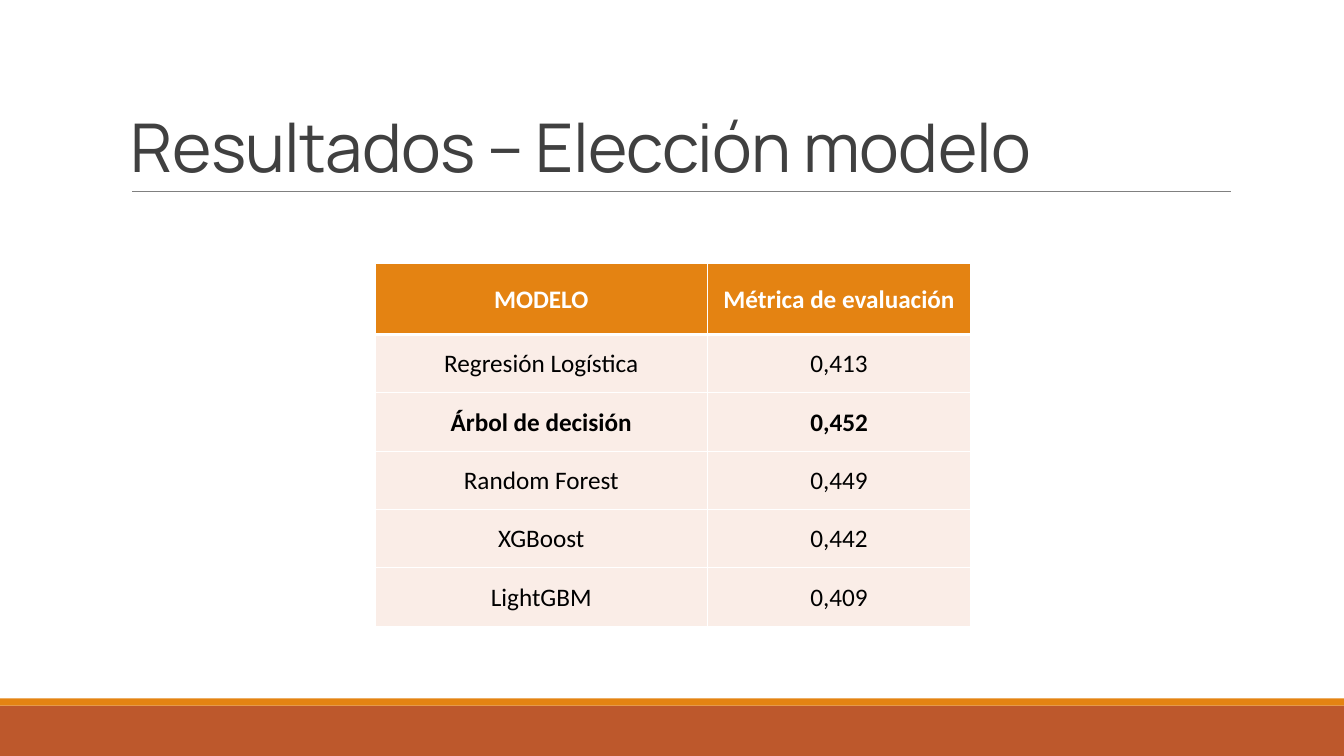
from lxml import etree
from pptx import Presentation
from pptx.dml.color import RGBColor
from pptx.enum.shapes import MSO_CONNECTOR, MSO_SHAPE
from pptx.enum.text import MSO_ANCHOR, PP_ALIGN
from pptx.oxml.ns import qn
from pptx.util import Cm, Pt

COLORS = {
    "rust": "BD582C",
    "orange": "E48312",
    "rule": "808080",
    "title": "404040",
    "body": "FAEDE7",
    "white": "FFFFFF",
    "black": "000000",
}
WIDTH, HEIGHT = 33.87, 19.05
HEADER = ("MODELO", "Métrica de evaluación")
MODELS = [
    ("Regresión Logística", "0,413"),
    ("Árbol de decisión", "0,452"),
    ("Random Forest", "0,449"),
    ("XGBoost", "0,442"),
    ("LightGBM", "0,409"),
]
BEST_MODEL = "Árbol de decisión"


def rgb(name):
    return RGBColor.from_string(COLORS[name])


def style_run(r, font, size, color, bold=False):
    r.font.name = font
    r.font.size = Pt(size)
    r.font.bold = bold
    r.font.color.rgb = rgb(color)


def add_bar(s, top, height, color):
    sp = s.shapes.add_shape(
        MSO_SHAPE.RECTANGLE, 0, Cm(top), Cm(WIDTH), Cm(height))
    sp.shadow.inherit = False
    sp.fill.solid()
    sp.fill.fore_color.rgb = rgb(color)
    sp.line.fill.background()


def add_rule(s, left, right, y):
    line = s.shapes.add_connector(
        MSO_CONNECTOR.STRAIGHT, Cm(left), Cm(y), Cm(right), Cm(y))
    line.line.color.rgb = rgb("rule")
    line.line.width = Pt(0.5)
    etree.SubElement(line._element.spPr, qn("a:effectLst"))


def add_title(s, text):
    sp = s.shapes.add_textbox(Cm(3.05), Cm(0.79), Cm(27.94), Cm(4.04))
    tf = sp.text_frame
    tf.word_wrap = True
    tf.vertical_anchor = MSO_ANCHOR.BOTTOM
    tf.text = text
    p = tf.paragraphs[0]
    p.line_spacing = 0.85
    r = p.runs[0]
    style_run(r, "Manrope", 48, "title")
    r._r.get_or_add_rPr().set("spc", "-50")


def set_borders(cell, widths):
    tcPr = cell._tc.get_or_add_tcPr()
    for side, width in widths.items():
        ln = etree.SubElement(tcPr, qn(f"a:ln{side}"), w=str(Pt(width)))
        fill = etree.SubElement(ln, qn("a:solidFill"))
        etree.SubElement(fill, qn("a:srgbClr"), val=COLORS["white"])


def fill_cell(cell, text, fill, color, bold, top, bottom):
    cell.text = text
    cell.vertical_anchor = MSO_ANCHOR.MIDDLE
    cell.margin_left = cell.margin_right = cell.margin_top = Cm(0.03)
    cell.margin_bottom = 0
    p = cell.text_frame.paragraphs[0]
    p.alignment = PP_ALIGN.CENTER
    style_run(p.runs[0], "Calibri", 18, color, bold)
    set_borders(cell, {"L": 1, "R": 1, "T": top, "B": bottom})
    cell.fill.solid()
    cell.fill.fore_color.rgb = rgb(fill)


def add_results_table(s, left, top, col_widths, header_height, row_height):
    rows = [HEADER] + MODELS
    heights = [header_height] + [row_height] * len(MODELS)
    table = s.shapes.add_table(
        len(rows), len(HEADER), Cm(left), Cm(top),
        Cm(sum(col_widths)), Cm(sum(heights))).table
    for column, width in zip(table.columns, col_widths):
        column.width = Cm(width)
    for i, (row, height) in enumerate(zip(rows, heights)):
        table.rows[i].height = Cm(height)
        is_header = i == 0
        fill, color = ("orange", "white") if is_header else ("body", "black")
        bold = is_header or row[0] == BEST_MODEL
        # A thicker line parts the header from the models
        top_width = 3 if i == 1 else 1
        bottom_width = 3 if is_header else 1
        for j, text in enumerate(row):
            fill_cell(table.cell(i, j), text, fill, color, bold,
                      top_width, bottom_width)


def main():
    prs = Presentation()
    prs.slide_width, prs.slide_height = Cm(WIDTH), Cm(HEIGHT)
    s = prs.slides.add_slide(prs.slide_layouts[6])

    # Footer bands
    add_bar(s, 17.78, 1.27, "rust")
    add_bar(s, 17.6, 0.18, "orange")

    # Title and its underline
    add_rule(s, 3.33, 31.01, 4.83)
    add_title(s, "Resultados – Elección modelo")

    # Model comparison
    add_results_table(s, 9.45, 6.63, (8.38, 6.63), 1.8, 1.47)

    prs.save("out.pptx")


if __name__ == "__main__":
    main()
